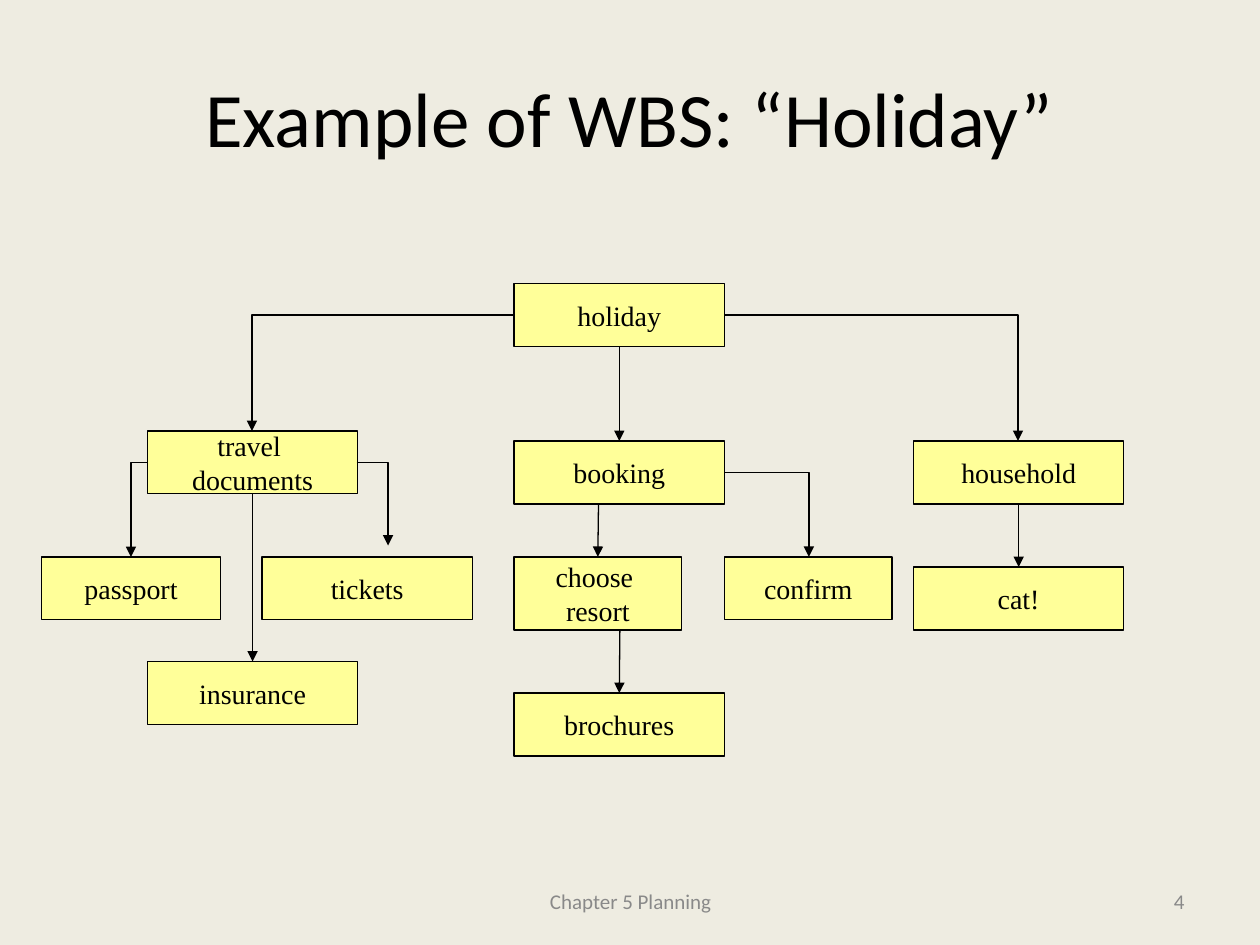
import pptx
import pptx.util
import pptx.dml.color
import pptx.enum.shapes
import pptx.enum.text
import pptx.oxml.ns
import lxml.etree

Inches = pptx.util.Inches
Pt = pptx.util.Pt
RGB = pptx.dml.color.RGBColor.from_string
Align = pptx.enum.text.PP_ALIGN
Link = pptx.enum.shapes.MSO_CONNECTOR
qn = pptx.oxml.ns.qn

hues = {"page": "EEECE1", "box": "FFFF99", "ink": "000000", "foot": "898989"}

deck = pptx.Presentation()
deck.slide_width = Inches(10)
deck.slide_height = Inches(7.5)
slide = deck.slides.add_slide(deck.slide_layouts[6])
slide.background.fill.solid()
slide.background.fill.fore_color.rgb = RGB(hues["page"])


def write(shape, text, size, font, hue, align, wrap):
    """Fill a shape with one paragraph per line of text, centred vertically."""
    frame = shape.text_frame
    frame.word_wrap = wrap
    frame.vertical_anchor = pptx.enum.text.MSO_ANCHOR.MIDDLE
    for i, line in enumerate(text.split("\n")):
        para = frame.add_paragraph() if i else frame.paragraphs[0]
        para.alignment = align
        run = para.add_run()
        run.text = line
        run.font.size = Pt(size)
        run.font.name = font
        run.font.color.rgb = RGB(hues[hue])


def arrow(kind, start, end):
    """Draw a thin black connector with an arrowhead at its end."""
    line = slide.shapes.add_connector(kind, *map(Inches, start + end))
    line.line.color.rgb = RGB(hues["ink"])
    line.line.width = Pt(0.75)
    props = line._element.spPr
    lxml.etree.SubElement(props.find(qn("a:ln")), qn("a:tailEnd"), type="triangle")
    lxml.etree.SubElement(props, qn("a:effectLst"))
    return line


# Title and footer
labels = [
    ("Example of WBS: “Holiday”", (0.5, 0.3, 9, 1.25), 44, "ink", Align.CENTER),
    ("Chapter 5 Planning", (3.42, 6.95, 3.17, 0.4), 12, "foot", Align.CENTER),
    ("4", (7.17, 6.95, 2.33, 0.4), 12, "foot", Align.RIGHT),
]
for text, place, size, hue, align in labels:
    box = slide.shapes.add_textbox(*map(Inches, place))
    write(box, text, size, "Calibri", hue, align, True)

# Tasks: text, left, top, width, height
wide, high = 1.67, 0.5
tasks = [
    ("holiday", 4.08, 2.25, wide, high),
    ("travel \ndocuments", 1.17, 3.42, wide, high),
    ("passport", 0.33, 4.42, 1.42, high),
    ("tickets", 2.08, 4.42, wide, high),
    ("insurance", 1.17, 5.25, wide, high),
    ("booking", 4.08, 3.5, wide, high),
    ("choose \nresort", 4.08, 4.42, 1.33, 0.58),
    ("confirm", 5.75, 4.42, 1.33, high),
    ("brochures", 4.08, 5.5, wide, high),
    ("household", 7.25, 3.5, wide, high),
    ("cat!", 7.25, 4.5, wide, high),
]
boxes = {}
for text, *place in tasks:
    box = slide.shapes.add_shape(
        pptx.enum.shapes.MSO_SHAPE.RECTANGLE, *map(Inches, place))
    box.shadow.inherit = False
    box.fill.solid()
    box.fill.fore_color.rgb = RGB(hues["box"])
    box.line.color.rgb = RGB(hues["ink"])
    box.line.width = Pt(0.75)
    write(box, text, 16, "Times New Roman", "ink", Align.CENTER, False)
    boxes[text.split()[0]] = box

# Arrows that go sideways, then down
bends = [
    ((5.75, 2.5), (8.08, 3.5)),
    ((4.08, 2.5), (2, 3.42)),
    ((1.17, 3.67), (1.04, 4.42)),
    ((2.83, 3.67), (3.08, 4.33)),
    ((5.75, 3.75), (6.42, 4.42)),
]
for start, end in bends:
    bend = arrow(Link.ELBOW, start, end)
    bend._element.spPr.find(qn("a:prstGeom")).set("prst", "bentConnector2")

# Arrows straight down; the flag tells if the start is a middle too
drops = [
    ("holiday", "booking", (4.92, 2.75), (4.92, 3.5), True),
    ("travel", "insurance", (2, 3.92), (2, 5.25), True),
    ("household", "cat!", (8.08, 4), (8.08, 4.5), True),
    ("booking", "choose", (4.75, 4), (4.75, 4.42), False),
    ("choose", "brochures", (4.92, 5), (4.92, 5.5), False),
]
for top, low, start, end, mid in drops:
    drop = arrow(Link.STRAIGHT, start, end)
    if mid:
        drop.begin_connect(boxes[top], 2)
    drop.end_connect(boxes[low], 0)

deck.save("out.pptx")
